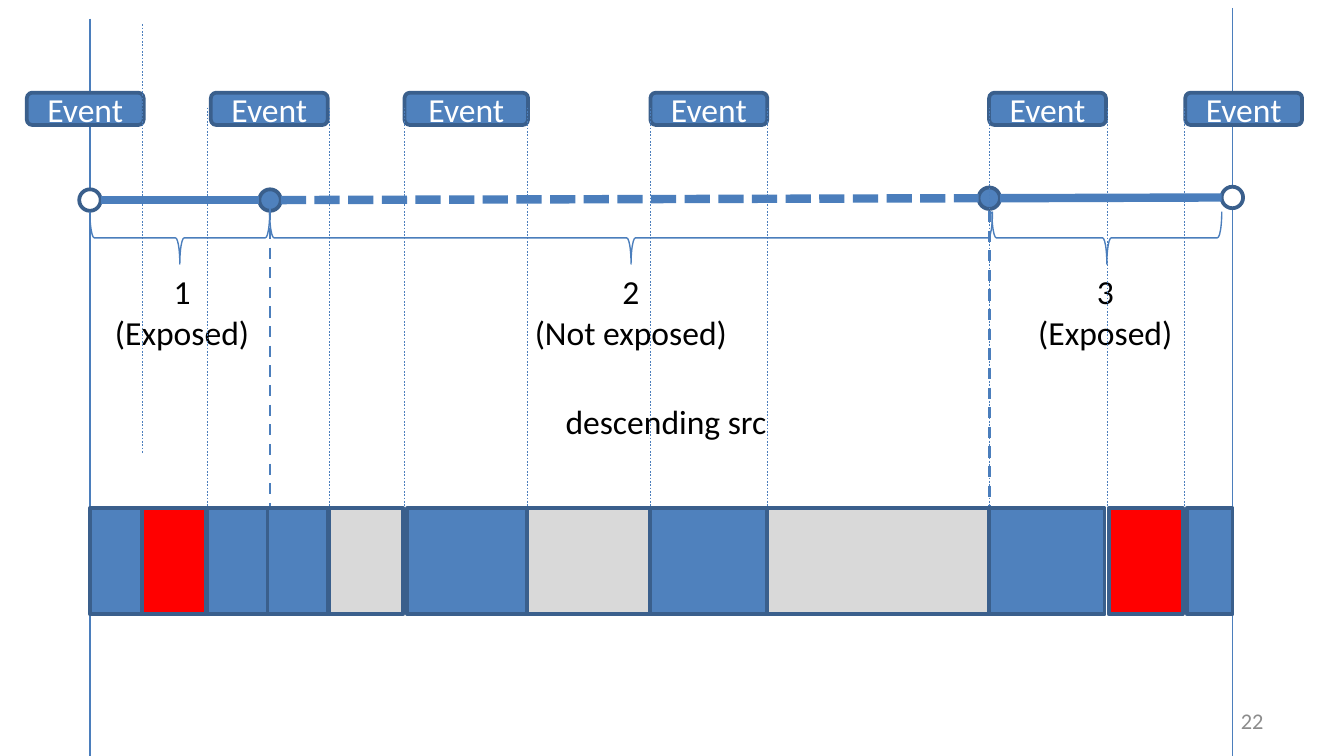
import pptx
import pptx.dml.color
import pptx.enum.dml
import pptx.enum.shapes
import pptx.enum.text
import pptx.util
from lxml import etree

Pt = pptx.util.Pt
RGBColor = pptx.dml.color.RGBColor
Shape = pptx.enum.shapes.MSO_SHAPE
Dash = pptx.enum.dml.MSO_LINE
Align = pptx.enum.text.PP_ALIGN
Anchor = pptx.enum.text.MSO_ANCHOR

BLUE = RGBColor(0x4F, 0x81, 0xBD)
OUTLINE = RGBColor(0x3A, 0x5F, 0x8C)
LINE = RGBColor(0x4B, 0x7E, 0xBC)
RED = RGBColor(0xFF, 0x00, 0x00)
LIGHT_GRAY = RGBColor(0xD9, 0xD9, 0xD9)
GRAY = RGBColor(0x8C, 0x8C, 0x8C)
BLACK = RGBColor(0x00, 0x00, 0x00)
WHITE = RGBColor(0xFF, 0xFF, 0xFF)

# Study borders: x, top, bottom
BORDERS = [(48.2, 10, 446.4), (660.2, 4.3, 440.6)]
# Timeline dots: centre x, centre y, fill
DOTS = [(48.2, 107.2, WHITE), (144.7, 107.2, BLUE),
        (530, 106.2, BLUE), (660.2, 105.8, WHITE)]
# Periods between the dots: lines of text, text left, text width,
# brace left, brace right, dash of the timeline
PERIODS = [
    (["1", "(Exposed)"], 54, 87.1, 48.2, 144.5, None),
    (["2", "(Not exposed)"], 278.6, 118.8, 144.5, 531.7, Dash.SQUARE_DOT),
    (["3", "(Exposed)"], 548.6, 87.1, 531.4, 654.5, None),
]
# Events: left, width
EVENTS = [(14.4, 62.6), (113, 62.6), (216.7, 66.2),
          (348.5, 62.6), (529.9, 62.6), (635, 62.6)]
EVENT_EDGES = [110.9, 176.4, 216.7, 282.2, 348.5, 411.1, 529.9, 593.3, 634.3]
# Exposure changes: x, top, bottom
CHANGES = [(529.9, 113, 301.7), (144.7, 111.6, 300.2)]
# Bar segments: left, width, fill
SEGMENTS = [
    (48.2, 28.1, BLUE), (76.3, 34.2, RED), (110.9, 32.4, BLUE),
    (143.3, 32.4, BLUE), (176.4, 39.6, LIGHT_GRAY), (218.2, 64.1, BLUE),
    (282.2, 66.2, LIGHT_GRAY), (348.5, 62.6, BLUE), (411.1, 118.8, LIGHT_GRAY),
    (529.9, 61.9, BLUE), (594, 39.6, RED), (635.8, 24.5, BLUE),
]
DOT_SIZE = 11.5
BRACE_DEPTH, BRACE_MIDDLE = 28.1, 127.4

deck = pptx.Presentation()
deck.slide_width, deck.slide_height = Pt(720), Pt(405)
page = deck.slides.add_slide(deck.slide_layouts[6])


def write(frame, lines, size=18, color=BLACK, align=Align.CENTER, anchor=Anchor.TOP):
    frame.vertical_anchor = anchor
    for number, text in enumerate(lines):
        para = frame.paragraphs[0] if number == 0 else frame.add_paragraph()
        para.alignment = align
        span = para.add_run()
        span.text = text
        span.font.name = "Calibri"
        span.font.size = Pt(size)
        span.font.color.rgb = color


def add_text(lines, left, top, width, height, wrap=False, **style):
    box = page.shapes.add_textbox(Pt(left), Pt(top), Pt(width), Pt(height))
    box.text_frame.word_wrap = wrap
    if not wrap:
        box.text_frame.auto_size = pptx.enum.text.MSO_AUTO_SIZE.SHAPE_TO_FIT_TEXT
    write(box.text_frame, lines, **style)


def add_shape(kind, left, top, width, height, fill=None, line=OUTLINE, weight=2):
    shape = page.shapes.add_shape(kind, Pt(left), Pt(top), Pt(width), Pt(height))
    shape.shadow.inherit = False
    if fill is None:
        shape.fill.background()
    else:
        shape.fill.solid()
        shape.fill.fore_color.rgb = fill
    shape.line.color.rgb = line
    shape.line.width = Pt(weight)
    return shape


def add_line(start, end, weight, dash=None):
    line = page.shapes.add_connector(
        pptx.enum.shapes.MSO_CONNECTOR.STRAIGHT,
        Pt(start[0]), Pt(start[1]), Pt(end[0]), Pt(end[1]))
    line.line.color.rgb = LINE
    line.line.width = Pt(weight)
    if dash is not None:
        line.line.dash_style = dash
    etree.SubElement(line.element.spPr, pptx.oxml.ns.qn("a:effectLst"))


def add_brace(left, right):
    """Turn a left brace so that it opens upwards from left to right."""
    length = right - left
    brace = add_shape(Shape.LEFT_BRACE, (left + right - BRACE_DEPTH) / 2,
                      BRACE_MIDDLE - length / 2, BRACE_DEPTH, length,
                      line=LINE, weight=0.75)
    brace.rotation = 270


for x, top, bottom in BORDERS:
    add_line((x, top), (x, bottom), 0.75)

for x, y, fill in DOTS:
    add_shape(Shape.OVAL, x - DOT_SIZE / 2, y - DOT_SIZE / 2, DOT_SIZE, DOT_SIZE, fill)

for period, before, after in zip(PERIODS, DOTS, DOTS[1:]):
    lines, left, width, brace_left, brace_right, dash = period
    add_brace(brace_left, brace_right)
    add_line((before[0] + DOT_SIZE / 2, before[1]),
             (after[0] - DOT_SIZE / 2, after[1]), 4.5, dash)
    add_text(lines, left, 141.8, width, 51.1)

for left, width in EVENTS:
    event = add_shape(Shape.ROUNDED_RECTANGLE, left, 49.7, width, 17.3, BLUE)
    write(event.text_frame, ["Event"], color=WHITE, anchor=Anchor.MIDDLE)

for x, top, bottom in CHANGES:
    add_line((x, top), (x, bottom), 1.5, Dash.DASH)
add_line((76.3, 13), (76.3, 242.6), 0.25, Dash.DASH)
for x in EVENT_EDGES:
    add_line((x, 57.6), (x, 287.3), 0.25, Dash.DASH)

for left, width, fill in SEGMENTS:
    add_shape(Shape.RECTANGLE, left, 272.2, width, 56.9, fill)

add_text(["descending src"], 295.9, 211, 127.4, 28.8, align=Align.LEFT)
add_text(["22"], 516.2, 375.1, 167.8, 21.6, wrap=True, size=12, color=GRAY,
         align=Align.RIGHT, anchor=Anchor.MIDDLE)

deck.save("out.pptx")
